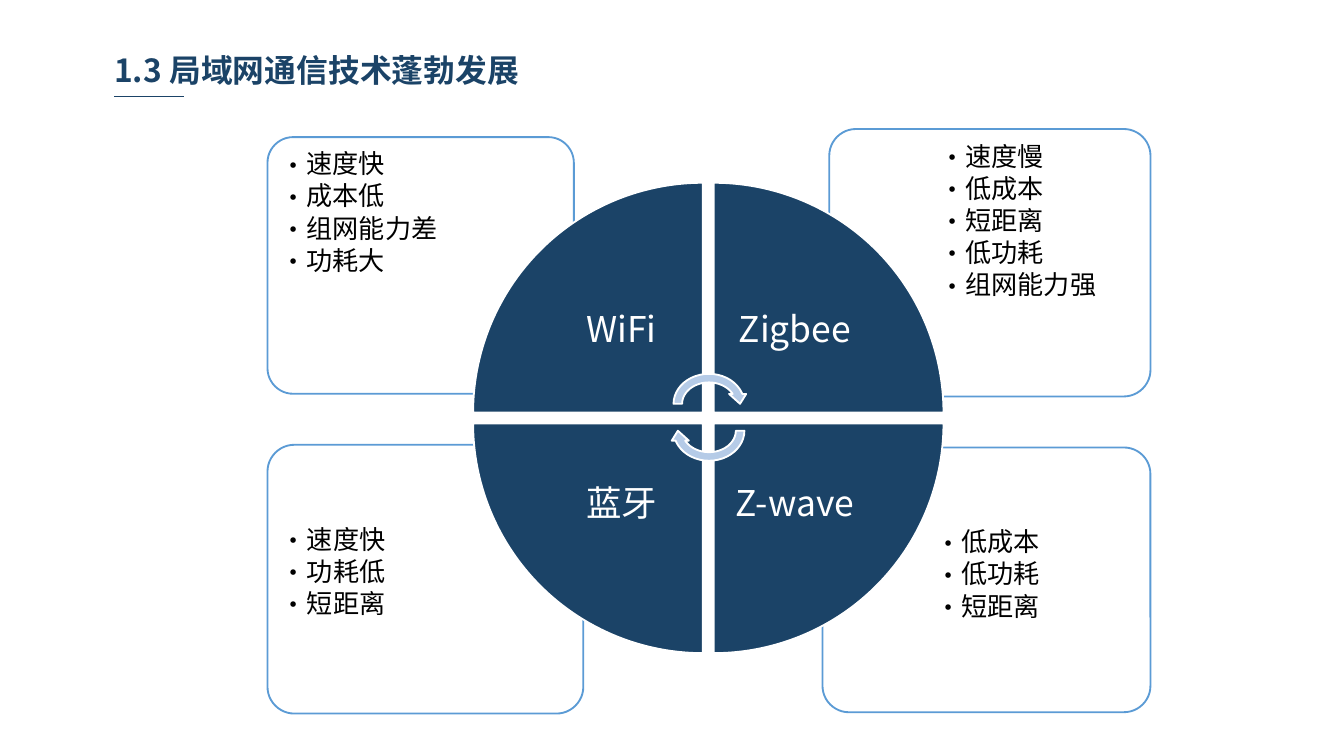
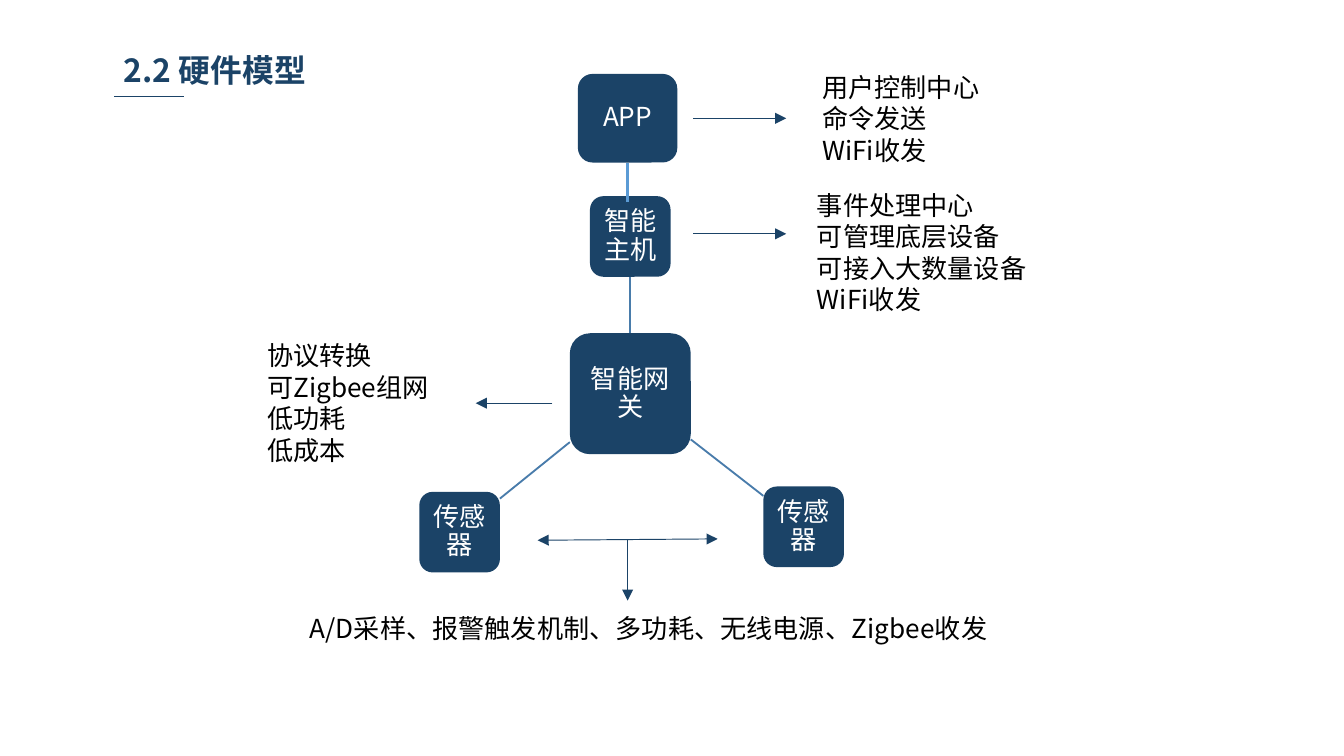
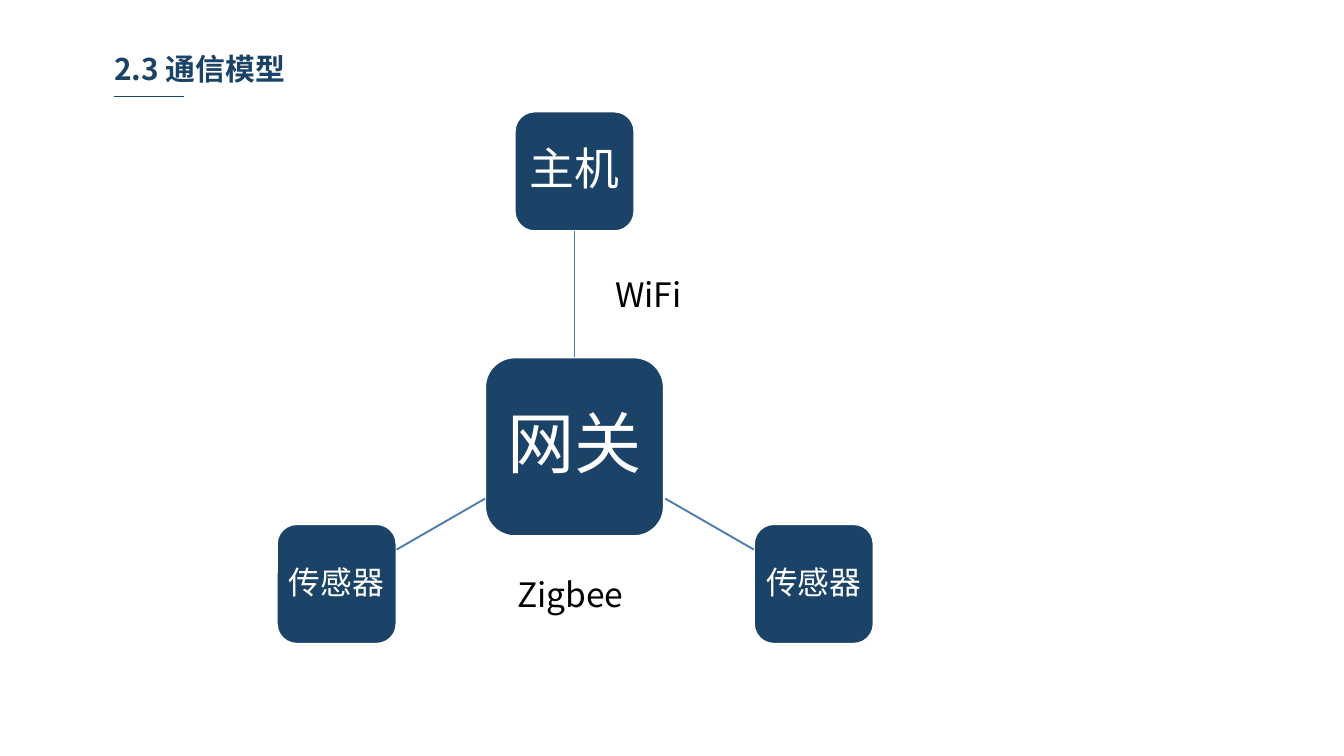
import lxml.etree
import pptx
import pptx.dml.color
import pptx.enum.shapes
import pptx.enum.text
import pptx.oxml.ns
import pptx.util

Inches, Pt = pptx.util.Inches, pptx.util.Pt
SHAPE = pptx.enum.shapes.MSO_SHAPE
ALIGN = pptx.enum.text.PP_ALIGN
ANCHOR = pptx.enum.text.MSO_ANCHOR
qn = pptx.oxml.ns.qn

FONT = "Noto Sans CJK SC"
COLORS = {
    "navy": "1B4367",
    "white": "FFFFFF",
    "black": "000000",
    "card_edge": "5B9BD5",
    "spoke": "497CAB",
    "cycle": "B5CBE7",
}


def rgb(name):
    return pptx.dml.color.RGBColor.from_string(COLORS[name])


def box(at):
    return [Inches(value) for value in at]


def add_child(parent, tag, **attributes):
    return lxml.etree.SubElement(parent, qn(tag), attributes)


def write(shape, text, size, color, bold=False, align=ALIGN.LEFT,
          anchor=ANCHOR.TOP, insets=(0.1, 0.05, 0.1, 0.05), spacing=1, after=0):
    """Fill a shape with text; insets run left, top, right, bottom and
    after is the paragraph gap as a share of the text size."""
    frame = shape.text_frame
    frame.text = text
    frame.word_wrap = True
    frame.vertical_anchor = anchor
    (frame.margin_left, frame.margin_top,
     frame.margin_right, frame.margin_bottom) = box(insets)
    for paragraph in frame.paragraphs:
        paragraph.alignment = align
        paragraph.line_spacing = spacing
        paragraph.space_after = Pt(round(size * after, 1))
        for run in paragraph.runs:
            run.font.size = Pt(size)
            run.font.bold = bold
            run.font.color.rgb = rgb(color)
            run.font.name = FONT
            add_child(run.font._element, "a:ea", typeface=FONT)


def add_label(slide, at, text, size=14, color="black", **style):
    label = slide.shapes.add_textbox(*box(at))
    write(label, text, size, color, **style)


def add_figure(slide, preset, at, fill, outline=None, rotation=0):
    figure = slide.shapes.add_shape(preset, *box(at))
    figure.shadow.inherit = False
    figure.rotation = rotation
    figure.fill.solid()
    figure.fill.fore_color.rgb = rgb(fill)
    if outline:
        figure.line.color.rgb = rgb(outline)
        figure.line.width = Pt(1)
    else:
        figure.line.fill.background()
    return figure


def add_node(slide, at, text, size=14, inset=0.04, outline=None):
    node = add_figure(slide, SHAPE.ROUNDED_RECTANGLE, at, "navy", outline)
    write(node, text, size, "white", align=ALIGN.CENTER, anchor=ANCHOR.MIDDLE,
          insets=[inset] * 4, spacing=0.9, after=0.35)
    return node


def add_line(slide, start, end, color="navy", width=0.5, heads=()):
    """Draw a straight line; heads lists the ends ("head", "tail") with arrows."""
    line = slide.shapes.add_connector(
        pptx.enum.shapes.MSO_CONNECTOR.STRAIGHT, *box(start + end))
    line.line.color.rgb = rgb(color)
    line.line.width = Pt(width)
    for head in heads:
        add_child(line.line._get_or_add_ln(), f"a:{head}End", type="triangle")
    add_child(line._element.spPr, "a:effectLst")
    return line


def add_spoke(slide, start, end):
    return add_line(slide, start, end, "spoke", 1)


def add_bullet_card(slide, at, items, text_left, text_top):
    card = add_figure(slide, SHAPE.ROUNDED_RECTANGLE, at, "white", "card_edge")
    card.adjustments[0] = 0.1
    fill_color = card._element.spPr.find(qn("a:solidFill"))[0]
    add_child(fill_color, "a:alpha", val="90000")
    write(card, "\n".join(items), 14, "black",
          insets=(text_left, text_top, 0.05, 0.05), spacing=0.9, after=0.15)
    for paragraph in card.text_frame.paragraphs:
        properties = paragraph._p.get_or_add_pPr()
        properties.set("marL", str(Inches(0.12)))
        properties.set("indent", str(Inches(-0.12)))
        add_child(properties, "a:buFont", typeface=FONT)
        add_child(properties, "a:buChar", char="•")


def add_titled_slide(deck, title, left=0.78, width=2.47, size=17):
    slide = deck.slides.add_slide(deck.slide_layouts[6])
    add_label(slide, (left, 0.34, width, 0.36), title, size, "navy", bold=True,
              insets=(0.07, 0.04, 0.07, 0.04))
    add_line(slide, (0.85, 0.72), (1.37, 0.72), width=0.75)
    return slide


def build_network_technologies(deck):
    slide = add_titled_slide(deck, "1.3 局域网通信技术蓬勃发展", width=3.22)

    left_text, upper_text, lower_text = 0.04, 0.05, 0.55
    cards = [
        ((6.12, 3.33, 2.44, 1.97), ["低成本", "低功耗", "短距离"],
         0.78, lower_text),
        ((1.99, 3.31, 2.35, 2), ["速度快", "功耗低", "短距离"],
         left_text, lower_text),
        ((6.17, 0.96, 2.39, 1.99),
         ["速度慢", "低成本", "短距离", "低功耗", "组网能力强"],
         0.76, upper_text),
        ((1.99, 1.02, 2.28, 1.91), ["速度快", "成本低", "组网能力差", "功耗大"],
         left_text, upper_text),
    ]
    for card in cards:
        add_bullet_card(slide, *card)

    radius, name_size = 1.71, 1.21
    near_x, near_y, far_x, far_y = 3.52, 1.36, 5.31, 3.15
    inward = radius - name_size
    quadrants = [("WiFi", near_x, near_y), ("Zigbee", far_x, near_y),
                 ("Z-wave", far_x, far_y), ("蓝牙", near_x, far_y)]
    for turn, (name, x, y) in enumerate(quadrants):
        add_figure(slide, SHAPE.PIE_WEDGE, (x, y, radius, radius),
                   "navy", "white", turn * 90)
        name_x = x + inward if x == near_x else x
        name_y = y + inward if y == near_y else y
        add_label(slide, (name_x, name_y, name_size, name_size), name, 19, "white",
                  align=ALIGN.CENTER, anchor=ANCHOR.MIDDLE, insets=[0.15] * 4,
                  spacing=0.9, after=0.35)

    for top, rotation in [(2.75, 0), (2.95, 180)]:
        add_figure(slide, SHAPE.CIRCULAR_ARROW, (4.98, top, 0.59, 0.51),
                   "cycle", "white", rotation)


def build_hardware_model(deck):
    slide = add_titled_slide(deck, "2.2 硬件模型", left=0.85)

    gateway = add_node(slide, (4.24, 2.48, 0.9, 0.9), "智能网关")
    host = add_node(slide, (4.39, 1.46, 0.6, 0.6), "智能主机")
    app = add_node(slide, (4.3, 0.55, 0.74, 0.66), "APP")
    for sensor_x, sensor_y in [(5.68, 3.62), (3.12, 3.66)]:
        add_node(slide, (sensor_x, sensor_y, 0.6, 0.6), "传感器")

    host_link = add_spoke(slide, (4.69, 2.48), (4.69, 2.06))
    host_link.begin_connect(gateway, 0)
    host_link.end_connect(host, 2)
    add_spoke(slide, (5.14, 3.27), (5.68, 3.69))
    add_spoke(slide, (4.24, 3.29), (3.72, 3.71))
    app_link = add_line(slide, (4.67, 1.21), (4.67, 1.5), "card_edge", 1.5)
    app_link.begin_connect(app, 2)

    pointers = [((5.16, 0.88), (5.85, 0.88)), ((5.16, 1.74), (5.85, 1.74)),
                ((4.11, 3), (3.54, 3)), ((4.67, 4.02), (4.67, 4.47))]
    for start, end in pointers:
        add_line(slide, start, end, heads=["tail"])
    add_line(slide, (4, 4.02), (5.34, 4.01), heads=["head", "tail"])

    add_label(slide, (6.02, 0.48, 1.84, 0.81), "用户控制中心\n命令发送\nWiFi收发")
    add_label(slide, (5.98, 1.36, 2.11, 1.04),
              "事件处理中心\n可管理底层设备\n可接入大数量设备\nWiFi收发")
    add_label(slide, (1.89, 2.48, 1.83, 1.04),
              "协议转换\n可Zigbee组网\n低功耗\n低成本")
    add_label(slide, (0.33, 4.51, 8.99, 0.34),
              "A/D采样、报警触发机制、多功耗、无线电源、Zigbee收发",
              align=ALIGN.CENTER)


def build_communication_model(deck):
    slide = add_titled_slide(deck, "2.3 通信模型", size=16)

    gateway = add_node(slide, (3.61, 2.66, 1.33, 1.33), "网关", 36, 0.09, "white")
    host = add_node(slide, (3.83, 0.83, 0.89, 0.89), "主机", 24, 0.05, "white")
    for sensor_x in (5.61, 2.06):
        add_node(slide, (sensor_x, 3.9, 0.89, 0.89), "传感器", 17, 0.03, "white")

    host_link = add_spoke(slide, (4.28, 2.66), (4.28, 1.72))
    host_link.begin_connect(gateway, 0)
    host_link.end_connect(host, 2)
    add_spoke(slide, (4.95, 3.71), (5.61, 4.09))
    add_spoke(slide, (3.61, 3.71), (2.95, 4.09))

    add_label(slide, (4.48, 1.99, 1.36, 0.4), "WiFi", 18)
    add_label(slide, (3.33, 4.22, 1.83, 0.4), "Zigbee", 18, align=ALIGN.CENTER)


def main():
    deck = pptx.Presentation()
    deck.slide_width = Inches(10)
    deck.slide_height = deck.slide_width * 9 // 16
    build_network_technologies(deck)
    build_hardware_model(deck)
    build_communication_model(deck)
    deck.save("out.pptx")


if __name__ == "__main__":
    main()
